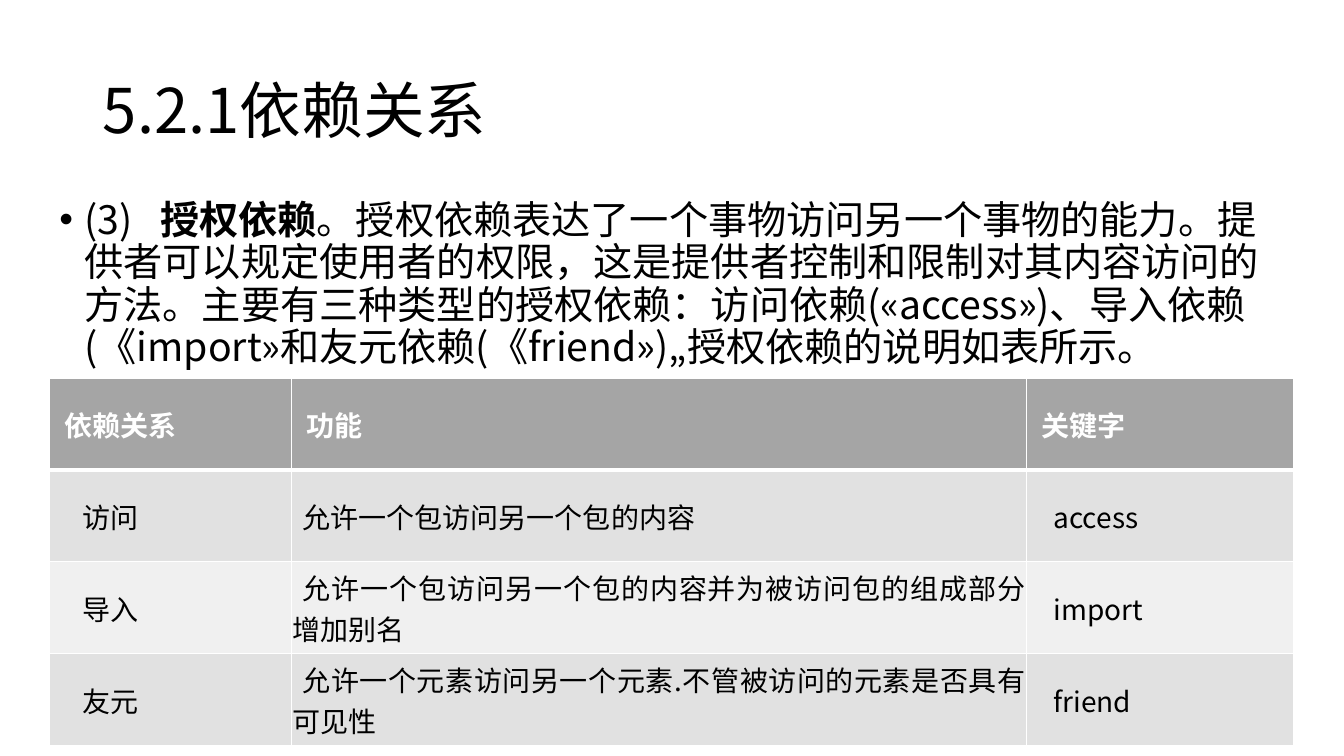
import pptx
import pptx.dml.color
import pptx.enum.text
import pptx.oxml
import pptx.oxml.ns
import pptx.util

Inches, Pt = pptx.util.Inches, pptx.util.Pt
PP_ALIGN = pptx.enum.text.PP_ALIGN
MIDDLE = pptx.enum.text.MSO_ANCHOR.MIDDLE
FONT = "Noto Sans CJK SC"
COLORS = {"text": "000000", "light": "FFFFFF", "header": "A5A5A5",
          "odd": "E1E1E1", "even": "F0F0F0"}
NAMESPACE = pptx.oxml.ns.nsdecls("a")


def add_span(para, text, size, color="text", bold=False):
    span = para.add_run()
    span.text = text
    for name, value in {"name": FONT, "size": Pt(size), "bold": bold}.items():
        setattr(span.font, name, value)
    span.font.color.rgb = pptx.dml.color.RGBColor.from_string(COLORS[color])
    span.font._element.append(pptx.oxml.parse_xml(f'<a:ea {NAMESPACE} typeface="{FONT}"/>'))


def place(item, left, top, width, height):
    for name, value in zip(("left", "top", "width", "height"), (left, top, width, height)):
        setattr(item, name, Inches(value))


deck = pptx.Presentation()
deck.slide_width, deck.slide_height = Inches(13.33), Inches(7.5)
page = deck.slides.add_slide(deck.slide_layouts[5])
LEFT, WIDTH = 0.49, 12.34

# Title
title = page.shapes.title
place(title, 0.92, 0.4, 11.5, 1.45)
title.text_frame.vertical_anchor = MIDDLE
para = title.text_frame.paragraphs[0]
para.alignment = PP_ALIGN.LEFT
para.line_spacing = 0.9
add_span(para, "5.2.1依赖关系", 44)

# Bulleted explanation
box = page.shapes.add_textbox(0, 0, 0, 0)
place(box, LEFT, 1.94, WIDTH, 4.76)
box.text_frame.word_wrap = True
para = box.text_frame.paragraphs[0]
para.line_spacing = 0.9
layout = para._p.get_or_add_pPr()
layout.set("marL", str(Inches(0.25)))
layout.set("indent", str(Inches(-0.25)))
for mark in ('buFont {} typeface="Arial"', 'buChar {} char="•"'):
    layout.append(pptx.oxml.parse_xml(f"<a:{mark.format(NAMESPACE)}/>"))
add_span(para, "(3)\t", 28)
add_span(para, "授权依赖", 28, bold=True)
add_span(para, "。授权依赖表达了一个事物访问另一个事物的能力。提供者可以规定使用者的权限，"
               "这是提供者控制和限制对其内容访问的方法。主要有三种类型的授权依赖："
               "访问依赖(«access»)、导入依赖(《import»和友元依赖(《friend»)„"
               "授权依赖的说明如表所示。", 28)

# Table of dependency kinds
ROWS = [
    ("依赖关系", "功能", "关键字"),
    ("访问", "允许一个包访问另一个包的内容", "access"),
    ("导入", "允许一个包访问另一个包的内容并为被访问包的组成部分增加别名", "import"),
    ("友元", "允许一个元素访问另一个元素.不管被访问的元素是否具有可见性", "friend"),
]
COLUMN_WIDTHS = (2.4, 7.29, 2.65)
HEADER_INDENT, BODY_INDENTS = 0.14, (0.32, 0.1, 0.26)
CELL_FORMAT = {"vertical_anchor": MIDDLE, "margin_left": Inches(0.01),
               "margin_right": Inches(0.01), "margin_top": 0, "margin_bottom": 0}
frame = page.shapes.add_table(len(ROWS), len(COLUMN_WIDTHS), 0, 0, 0, 0)
place(frame, LEFT, 3.75, WIDTH, 3.65)
table = frame.table
for column, width in zip(table.columns, COLUMN_WIDTHS):
    column.width = Inches(width)

for r, texts in enumerate(ROWS):
    table.rows[r].height = Inches(3.65 / len(ROWS))
    header = r == 0
    fill = "header" if header else ("odd" if r % 2 else "even")
    for c, text in enumerate(texts):
        cell = table.cell(r, c)
        for name, value in CELL_FORMAT.items():
            setattr(cell, name, value)
        cell.fill.solid()
        cell.fill.fore_color.rgb = pptx.dml.color.RGBColor.from_string(COLORS[fill])
        para = cell.text_frame.paragraphs[0]
        para.alignment = PP_ALIGN.JUSTIFY if c == 1 and not header else PP_ALIGN.LEFT
        indent = HEADER_INDENT if header else BODY_INDENTS[c]
        para._p.get_or_add_pPr().set("indent", str(Inches(indent)))
        add_span(para, text, 20, "light" if header else "text", header)
        # White rules, thicker under the header
        weights = {"L": 1, "R": 1, "T": 3 if r == 1 else 1, "B": 3 if header else 1}
        for position, (side, weight) in enumerate(weights.items()):
            cell._tc.get_or_add_tcPr().insert(position, pptx.oxml.parse_xml(
                f'<a:ln{side} {NAMESPACE} w="{Pt(weight)}"><a:solidFill>'
                f'<a:srgbClr val="{COLORS["light"]}"/></a:solidFill></a:ln{side}>'))

deck.save("out.pptx")
